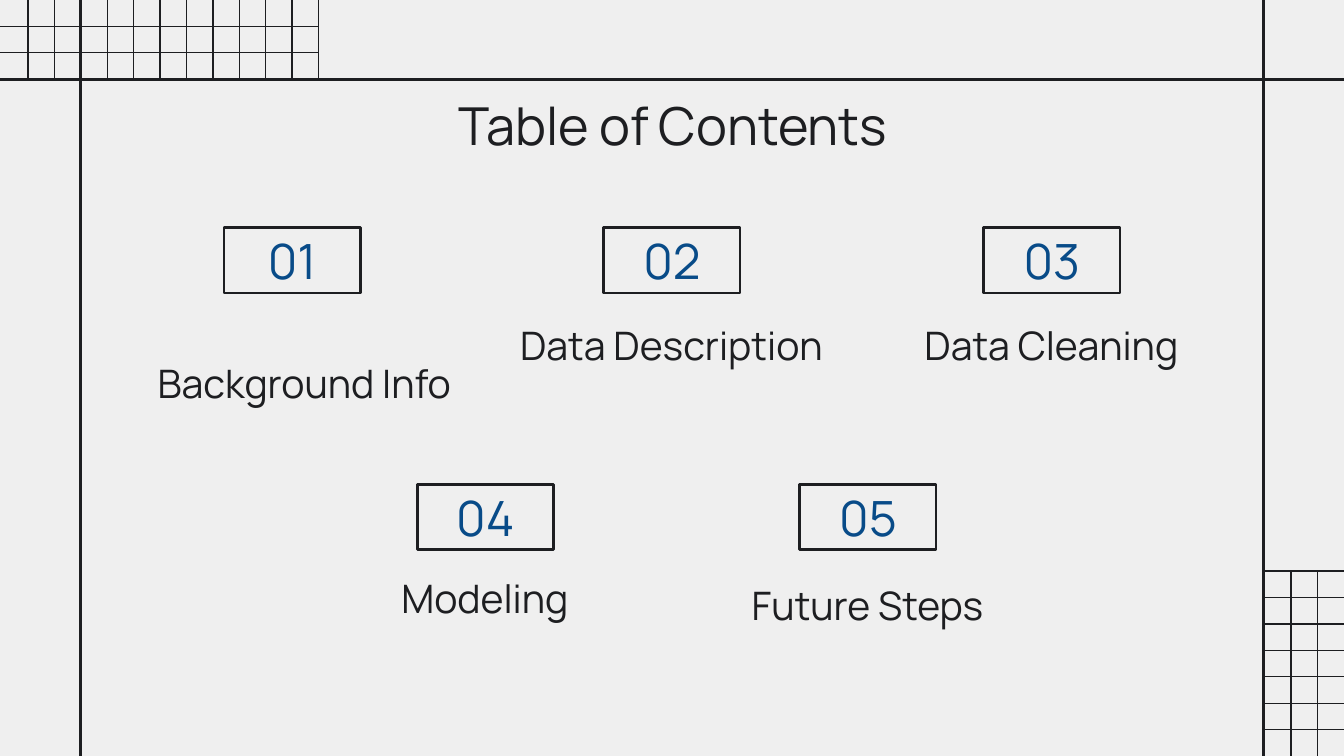
from pptx import Presentation
from pptx.dml.color import RGBColor
from pptx.enum.shapes import MSO_CONNECTOR, MSO_SHAPE
from pptx.enum.text import MSO_ANCHOR, MSO_AUTO_SIZE, PP_ALIGN
from pptx.oxml.ns import qn
from pptx.util import Pt
from lxml import etree

STRAIGHT, RECT = MSO_CONNECTOR.STRAIGHT, MSO_SHAPE.RECTANGLE
TOP, MIDDLE, BOTTOM = MSO_ANCHOR.TOP, MSO_ANCHOR.MIDDLE, MSO_ANCHOR.BOTTOM
CENTER, NO_FIT = PP_ALIGN.CENTER, MSO_AUTO_SIZE.NONE

COLORS = {"paper": "EFEFEF", "ink": "1D1E21", "number": "084B88"}
FONT = "Manrope"
W, H = 720, 405
FRAME_LEFT, FRAME_RIGHT, FRAME_TOP = 43.2, 676.8, 42.5
CELL = 14.15

# number, box left and top; label, its left, top, width and anchor
SECTIONS = [
    ("01", 120, 122, "Background Info", 73.5, 165, 179, BOTTOM),
    ("02", 323.5, 122, "Data Description", 264, 165, 191.5, TOP),
    ("03", 527, 122, "Data Cleaning", 480, 165, 166.5, TOP),
    ("04", 223.5, 259.5, "Modeling", 176.5, 300.5, 166.5, TOP),
    ("05", 428.5, 259.5, "Future Steps", 381.5, 304, 166.5, TOP),
]


def color(name):
    return RGBColor.from_string(COLORS[name])


def add_line(s, x1, y1, x2, y2, width):
    line = s.shapes.add_connector(STRAIGHT, Pt(x1), Pt(y1), Pt(x2), Pt(y2))
    line.line.color.rgb = color("ink")
    line.line.width = Pt(width)
    etree.SubElement(line._element.spPr, qn("a:effectLst"))


def add_grid(s, xs, ys, left, top, right, bottom):
    """Draw thin lines at xs and ys, each spanning the given bounds."""
    for y in ys:
        add_line(s, left, y, right, y, 0.75)
    for x in xs:
        add_line(s, x, top, x, bottom, 0.75)


def add_frame(s):
    add_line(s, 0, FRAME_TOP, W, FRAME_TOP, 1.5)
    for x in (FRAME_RIGHT, FRAME_LEFT):
        add_line(s, x, 0, x, H, 1.5)


def set_text(sp, text, size, color_name, anchor):
    tf = sp.text_frame
    tf.word_wrap = True
    tf.auto_size = NO_FIT
    tf.vertical_anchor = anchor
    tf.margin_left = tf.margin_right = tf.margin_top = tf.margin_bottom = Pt(7.2)
    p = tf.paragraphs[0]
    p.alignment = CENTER
    r = p.add_run()
    r.text = text
    r.font.name = FONT
    r.font.size = Pt(size)
    r.font.color.rgb = color(color_name)


def add_title(s, text):
    sp = s.shapes.title
    sp.left, sp.top, sp.width, sp.height = Pt(57), Pt(42.5), Pt(607), Pt(37.5)
    set_text(sp, text, 28, "ink", TOP)


def add_number(s, text, left, top):
    sp = s.shapes.add_shape(RECT, Pt(left), Pt(top), Pt(73), Pt(35))
    sp.shadow.inherit = False
    sp.fill.background()
    sp.line.color.rgb = color("ink")
    sp.line.width = Pt(1.5)
    set_text(sp, text, 26, "number", MIDDLE)


def add_label(s, text, left, top, width, anchor):
    sp = s.shapes.add_textbox(Pt(left), Pt(top), Pt(width), Pt(60))
    set_text(sp, text, 21, "ink", anchor)


def main():
    prs = Presentation()
    prs.slide_width, prs.slide_height = Pt(W), Pt(H)
    s = prs.slides.add_slide(prs.slide_layouts[5])
    s.background.fill.solid()
    s.background.fill.fore_color.rgb = color("paper")

    top_xs = [15 + CELL * i for i in range(12)]
    add_grid(s, top_xs, [CELL, 2 * CELL], 0, 0, top_xs[-1], FRAME_TOP)
    side_ys = [306 + CELL * i for i in range(7)]
    side_xs = [FRAME_RIGHT + CELL * i + 0.75 for i in (1, 2)]
    add_grid(s, side_xs, side_ys, FRAME_RIGHT, side_ys[0], W, H)
    add_frame(s)

    add_title(s, "Table of Contents")
    for number, x, y, label, left, top, width, anchor in SECTIONS:
        add_number(s, number, x, y)
        add_label(s, label, left, top, width, anchor)
    prs.save("out.pptx")


if __name__ == "__main__":
    main()
